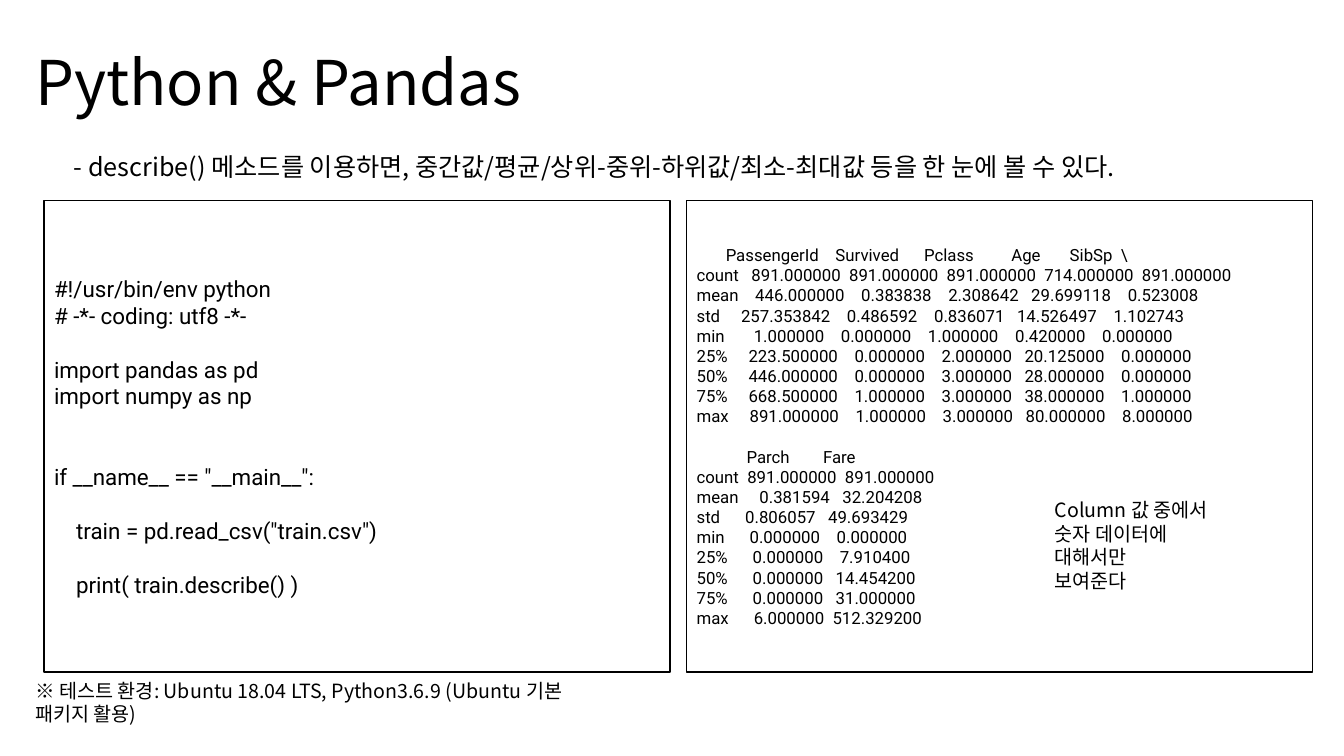
from pptx import Presentation
from pptx.dml.color import RGBColor
from pptx.enum.shapes import MSO_SHAPE
from pptx.enum.text import MSO_ANCHOR as ANCHOR, MSO_AUTO_SIZE as AUTO, PP_ALIGN as ALIGN
from pptx.oxml.ns import qn
from pptx.util import Pt
from lxml.etree import SubElement

PX = 9525
BLACK = RGBColor(0, 0, 0)
WHITE = RGBColor(255, 255, 255)
SANS = "Noto Sans CJK KR"
ROBOTO = "Roboto"
LINE_HEIGHT = 1.2

PANEL_LEFT, PANEL_TOP, PANEL_W, PANEL_H, PANEL_GAP = 42, 191, 596, 449, 16

CODE = '''#!/usr/bin/env python
# -*- coding: utf8 -*-

import pandas as pd
import numpy as np


if __name__ == "__main__":

    train = pd.read_csv("train.csv")

    print( train.describe() )'''

FIRST_COLUMNS = r'''       PassengerId    Survived      Pclass         Age       SibSp  \
count   891.000000  891.000000  891.000000  714.000000  891.000000
mean    446.000000    0.383838    2.308642   29.699118    0.523008
std     257.353842    0.486592    0.836071   14.526497    1.102743
min       1.000000    0.000000    1.000000    0.420000    0.000000
25%     223.500000    0.000000    2.000000   20.125000    0.000000
50%     446.000000    0.000000    3.000000   28.000000    0.000000
75%     668.500000    1.000000    3.000000   38.000000    1.000000
max     891.000000    1.000000    3.000000   80.000000    8.000000'''

LAST_COLUMNS = '''            Parch        Fare
count  891.000000  891.000000
mean     0.381594   32.204208
std      0.806057   49.693429
min      0.000000    0.000000
25%      0.000000    7.910400
50%      0.000000   14.454200
75%      0.000000   31.000000
max      6.000000  512.329200'''


def px(*lengths):
    return [n * PX for n in lengths]


def write_lines(tf, text, size, font, anchor=ANCHOR.TOP):
    """Write one paragraph per line; blank lines become space before the next."""
    frame_format = {"word_wrap": True, "auto_size": AUTO.NONE, "vertical_anchor": anchor}
    for name, value in frame_format.items():
        setattr(tf, name, value)
    font_format = {"size": Pt(size), "name": font}
    p, blanks = tf.paragraphs[0], 0
    for i, line in enumerate(text.split("\n")):
        if not line:
            blanks += 1
            continue
        if i:
            p = tf.add_paragraph()
        p.alignment = ALIGN.LEFT
        p.space_before = Pt(blanks * size * LINE_HEIGHT)
        blanks = 0
        r = p.add_run()
        r.text = line
        for name, value in font_format.items():
            setattr(r.font, name, value)
        r.font.color.rgb = BLACK
        SubElement(r.font._element, qn("a:ea"), typeface=font)


def add_title(s, box, text):
    title = s.shapes.title
    title.left, title.top, title.width, title.height = px(*box)
    write_lines(title.text_frame, text, 44, SANS)


def add_label(s, box, text, size, anchor=ANCHOR.TOP):
    sp = s.shapes.add_textbox(*px(*box))
    write_lines(sp.text_frame, text, size, SANS, anchor)


def add_panel(s, column, text, size):
    left = PANEL_LEFT + column * (PANEL_W + PANEL_GAP)
    sp = s.shapes.add_shape(MSO_SHAPE.RECTANGLE, *px(left, PANEL_TOP, PANEL_W, PANEL_H))
    sp.shadow.inherit = False
    sp.fill.solid()
    sp.fill.fore_color.rgb = WHITE
    sp.line.color.rgb = BLACK
    sp.line.width = Pt(1)
    write_lines(sp.text_frame, text, size, ROBOTO, ANCHOR.MIDDLE)


def main():
    prs = Presentation()
    prs.slide_width, prs.slide_height = px(1280, 720)
    s = prs.slides.add_slide(prs.slide_layouts[5])

    add_title(s, (24, 37, 569, 81), "Python & Pandas")
    add_label(s, (24, 663, 560, 33),
              "※ 테스트 환경: Ubuntu 18.04 LTS, Python3.6.9 (Ubuntu 기본 패키지 활용)",
              14, ANCHOR.BOTTOM)
    add_label(s, (61, 139, 1127, 38),
              "- describe() 메소드를 이용하면, 중간값/평균/상위-중위-하위값/최소-최대값 등을 한 눈에 볼 수 있다.",
              18)
    output = FIRST_COLUMNS + "\n\n" + LAST_COLUMNS
    for column, (text, size) in enumerate([(CODE, 16), (output, 12)]):
        add_panel(s, column, text, size)
    add_label(s, (995, 491, 175, 78),
              "Column 값 중에서\n숫자 데이터에 대해서만\n보여준다", 14, ANCHOR.BOTTOM)

    prs.save("out.pptx")


if __name__ == "__main__":
    main()
